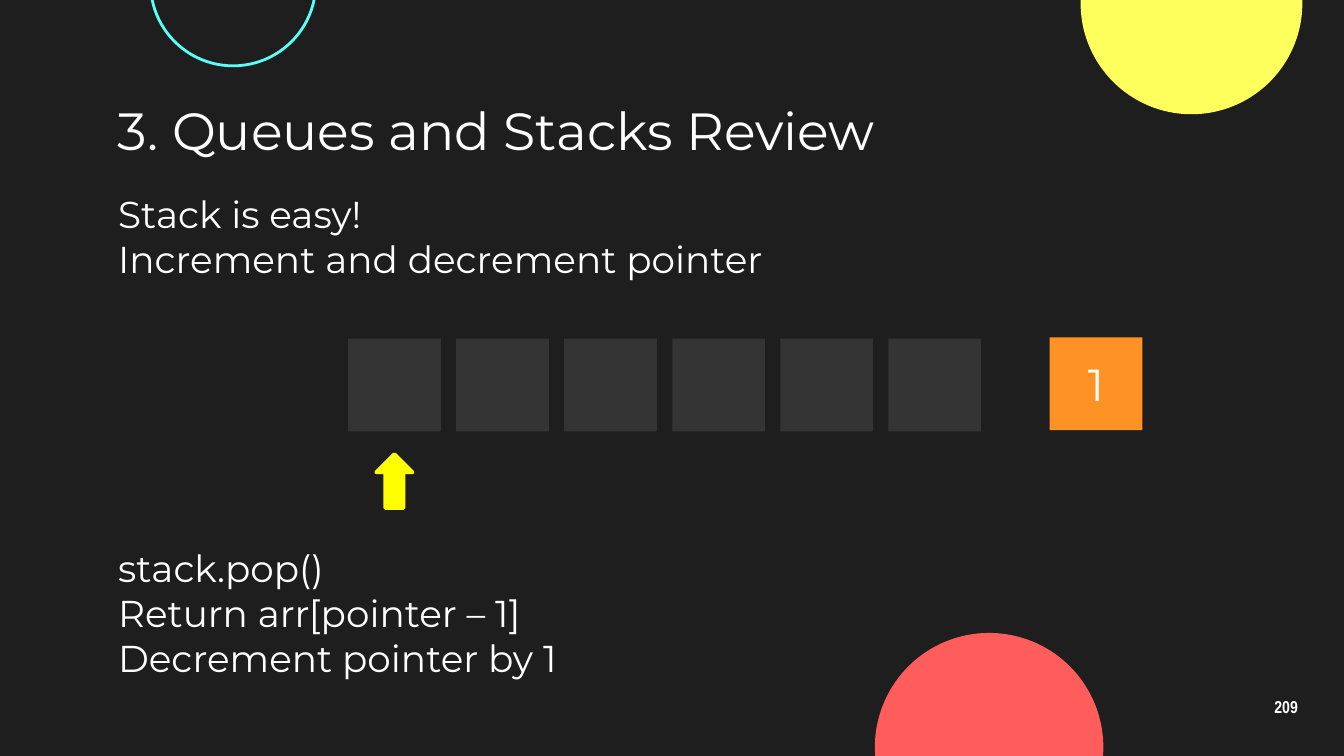
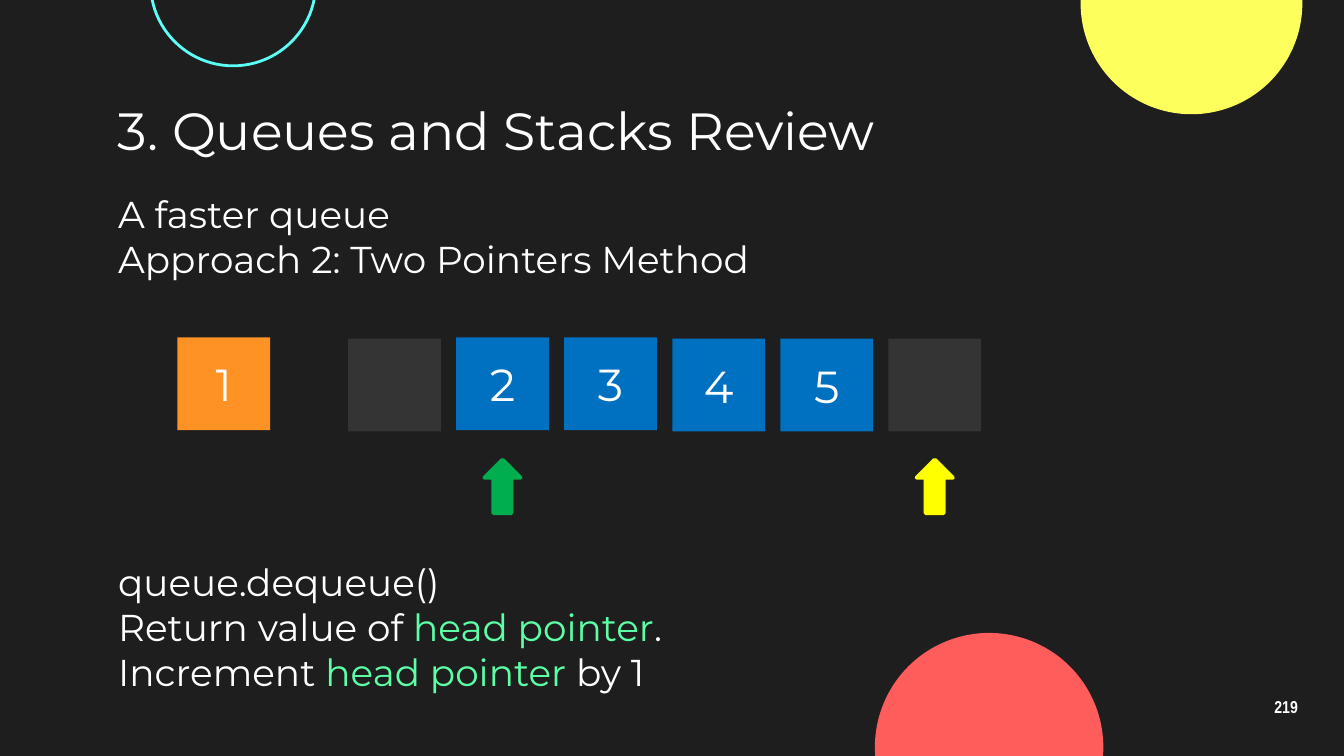
"""Builds two slides that review array-backed stacks and queues."""
from dataclasses import dataclass

from lxml.etree import SubElement
from pptx import Presentation
from pptx.dml.color import RGBColor
from pptx.enum.shapes import MSO_SHAPE as Shape
from pptx.enum.text import MSO_ANCHOR as Anchor, PP_ALIGN as Align
from pptx.oxml.ns import qn
from pptx.util import Inches, Pt


@dataclass(frozen=True)
class Theme:
    font: str = "Montserrat"
    number_font: str = "Arial Narrow"
    title_size: float = 28
    body_size: float = 20
    value_size: float = 24
    number_size: float = 9.2
    background: str = "1E1E1E"
    text: str = "FFFFFF"
    highlight: str = "5CFFA6"
    empty: str = "343434"
    filled: str = "0070C0"
    removed: str = "FF9225"
    head: str = "00AE4F"
    tail: str = "FFFF00"
    yellow: str = "FDFF5C"
    cyan: str = "5CFFF8"
    red: str = "FF5C5C"


THEME = Theme()
WIDTH = 10
HEIGHT = WIDTH * 9 / 16
MARGIN = 0.78
TEXT_WIDTH, TEXT_HEIGHT = 8.62, 0.51
INSET = 0.1
CELL, COLUMNS = 0.69, 6
ARRAY_LEFT, LAST_LEFT, ARRAY_TOP = 2.59, 6.61, 2.52
PITCH = (LAST_LEFT - ARRAY_LEFT) / (COLUMNS - 1)
RAISED_TOP = 2.51
ARROW_WIDTH, ARROW_HEIGHT = 0.27, 0.4

TITLE = "3. Queues and Stacks Review"
CIRCLES = [
    (8.04, -0.8, 1.65, THEME.yellow, None),
    (1.12, -0.74, 1.23, None, THEME.cyan),
    (6.51, 4.71, 1.7, THEME.red, None),
]
SLIDES = [
    {
        "number": "209",
        "intro": [["Stack is easy!"], ["Increment and decrement pointer"]],
        "cells": [""] * COLUMNS,
        "raised": (),
        "removed": ("1", 7.81),
        "pointers": [(0, THEME.tail)],
        "pointer_top": 3.38,
        "steps": [
            ["stack.pop()"],
            ["Return arr[pointer – 1]"],
            ["Decrement pointer by 1"],
        ],
        "steps_top": 3.96,
    },
    {
        "number": "219",
        "intro": [["A faster queue"], ["Approach 2: Two Pointers Method"]],
        "cells": ["", "2", "3", "4", "5", ""],
        "raised": (1, 2),
        "removed": ("1", 1.32),
        "pointers": [(1, THEME.head), (5, THEME.tail)],
        "pointer_top": 3.42,
        "steps": [
            ["queue.dequeue()"],
            ["Return value of ", ("head pointer", THEME.highlight), "."],
            ["Increment ", ("head pointer ", THEME.highlight), "by 1"],
        ],
        "steps_top": 4.06,
    },
]


def color(value):
    return RGBColor.from_string(value)


def write(frame, lines, size, font=THEME.font, align=Align.LEFT, bold=False, spacing=None):
    for index, line in enumerate(lines):
        para = frame.paragraphs[0] if index == 0 else frame.add_paragraph()
        para.alignment = align
        para.line_spacing = spacing
        for part in line:
            text, tint = (part, THEME.text) if isinstance(part, str) else part
            span = para.add_run()
            span.text = text
            span.font.name = font
            span.font.size = Pt(size)
            span.font.bold = bold
            span.font.color.rgb = color(tint)


def add_text(page, area, lines, size, anchor=Anchor.TOP, **style):
    frame = page.shapes.add_textbox(*map(Inches, area)).text_frame
    frame.word_wrap = True
    frame.vertical_anchor = anchor
    frame.margin_left = frame.margin_right = Inches(INSET)
    frame.margin_top = frame.margin_bottom = Inches(INSET)
    write(frame, lines, size, **style)


def add_figure(page, kind, area, fill=None, line=None, weight=1.5):
    figure = page.shapes.add_shape(kind, *map(Inches, area))
    figure.shadow.inherit = False
    for paint, tint in ((figure.fill, fill), (figure.line.fill, line)):
        if tint:
            paint.solid()
            paint.fore_color.rgb = color(tint)
        else:
            paint.background()
    if line:
        figure.line.width = Pt(weight)
    return figure


def add_cell(page, left, top, value, fill):
    cell = add_figure(page, Shape.RECTANGLE, (left, top, CELL, CELL), fill)
    if value:
        cell.text_frame.vertical_anchor = Anchor.MIDDLE
        write(cell.text_frame, [[value]], THEME.value_size, align=Align.CENTER)


def add_pointer(page, column, top, tint):
    left = ARRAY_LEFT + column * PITCH + (CELL - ARROW_WIDTH) / 2
    arrow = add_figure(page, Shape.UP_ARROW, (left, top, ARROW_WIDTH, ARROW_HEIGHT), tint, tint, 2)
    SubElement(arrow.element.spPr.find(qn("a:ln")), qn("a:round"))


def add_frame(page, number):
    page.background.fill.solid()
    page.background.fill.fore_color.rgb = color(THEME.background)
    for left, top, size, fill, line in CIRCLES:
        add_figure(page, Shape.OVAL, (left, top, size, size), fill, line)
    add_text(page, (9.27, 5.1, 0.6, 0.34), [[number]], THEME.number_size, Anchor.MIDDLE,
             font=THEME.number_font, align=Align.CENTER, bold=True, spacing=0.9)
    add_text(page, (MARGIN, 0.71, 8.44, TEXT_HEIGHT), [[TITLE]], THEME.title_size, Anchor.MIDDLE)


def add_review(deck, content):
    page = deck.slides.add_slide(deck.slide_layouts[6])
    add_frame(page, content["number"])
    for top, lines in ((1.32, content["intro"]), (content["steps_top"], content["steps"])):
        add_text(page, (MARGIN, top, TEXT_WIDTH, TEXT_HEIGHT), lines, THEME.body_size)
    for column, value in enumerate(content["cells"]):
        top = RAISED_TOP if column in content["raised"] else ARRAY_TOP
        fill = THEME.filled if value else THEME.empty
        add_cell(page, ARRAY_LEFT + column * PITCH, top, value, fill)
    value, left = content["removed"]
    add_cell(page, left, RAISED_TOP, value, THEME.removed)
    for column, tint in content["pointers"]:
        add_pointer(page, column, content["pointer_top"], tint)


def main():
    deck = Presentation()
    deck.slide_width, deck.slide_height = Inches(WIDTH), Inches(HEIGHT)
    for content in SLIDES:
        add_review(deck, content)
    deck.save("out.pptx")


if __name__ == "__main__":
    main()
